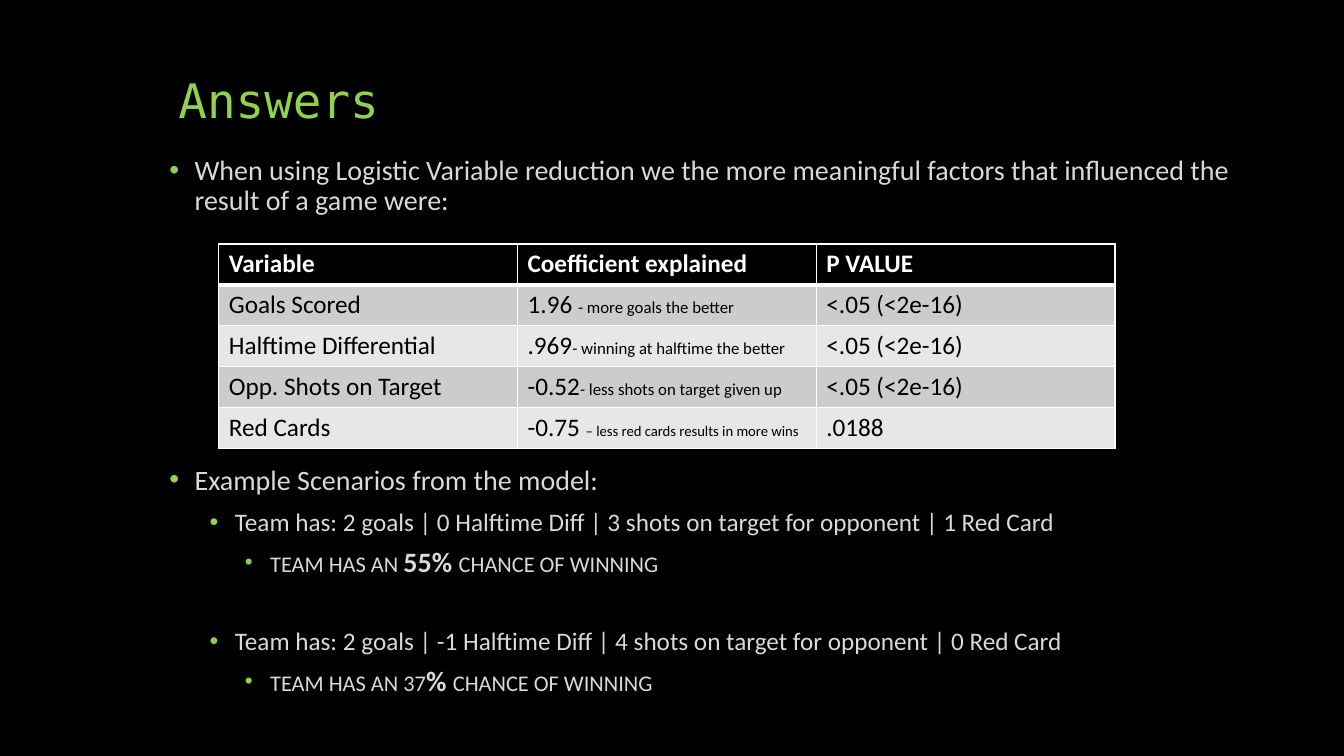
from lxml import etree
from pptx import Presentation
from pptx.dml.color import RGBColor
from pptx.enum import text
from pptx.oxml import ns
from pptx.util import Inches, Pt

COLORS = {"background": "000000", "accent": "92D050", "body": "D9D9D9",
          "white": "FFFFFF", "black": "000000",
          "odd_row": "CCCCCC", "even_row": "E7E7E7"}
BODY_FONT, TITLE_FONT = "Calibri", "DejaVu Sans Mono"

# Indent (in), text size (pt) and space before (pt) of each outline level
LEVELS = [
    {"indent": 0.25, "size": 20, "before": 18},
    {"indent": 0.65, "size": 18, "before": 10},
    {"indent": 1.0, "size": 16, "before": 8},
]
TABLE_GAP, SCENARIO_GAP = 178, 35.6  # space before in points

# Level, space before (None takes the level's own), runs of (text, size, bold)
OUTLINE = [
    (0, None, [("When using Logistic Variable reduction we the more meaningful "
                "factors that influenced the result of a game were:", 20, False)]),
    (0, TABLE_GAP, [("Example Scenarios from the model:", 20, False)]),
    (1, None, [("Team has: 2 goals | 0 Halftime Diff | 3 shots on target for "
                "opponent | 1 Red Card", 18, False)]),
    (2, None, [("TEAM HAS AN ", 16, False), ("55% ", 20, True),
               ("CHANCE OF WINNING", 16, False)]),
    (1, SCENARIO_GAP, [("Team has: 2 goals | -1 Halftime Diff | 4 shots on target "
                        "for opponent | 0 Red Card", 18, False)]),
    (2, None, [("TEAM HAS AN 37", 16, False), ("% ", 20, True),
               ("CHANCE OF WINNING", 16, False)]),
]

HEADINGS = ["Variable", "Coefficient explained", "P VALUE"]
# Variable, coefficient, explanation, explanation size, p value
FACTORS = [
    ("Goals Scored", "1.96 ", "- more goals the better", 12, "<.05 (<2e-16)"),
    ("Halftime Differential", ".969", "- winning at halftime the better", 12,
     "<.05 (<2e-16)"),
    ("Opp. Shots on Target", "-0.52", "- less shots on target given up", 12,
     "<.05 (<2e-16)"),
    ("Red Cards", "-0.75 ", "– less red cards results in more wins", 10.5, ".0188"),
]


def rgb(name):
    return RGBColor.from_string(COLORS[name])


def add_run(paragraph, words, size, color, bold=False, font=BODY_FONT):
    run = paragraph.add_run()
    run.text = words
    for attribute, value in {"size": Pt(size), "bold": bold, "name": font}.items():
        setattr(run.font, attribute, value)
    run.font.color.rgb = rgb(color)


def place(shape, box):
    for attribute, value in zip(("left", "top", "width", "height"), box):
        setattr(shape, attribute, Inches(value))


def add_bullet(paragraph, indent):
    properties = paragraph._p.get_or_add_pPr()
    properties.set("marL", str(Inches(indent)))
    properties.set("indent", str(Inches(-0.25)))
    color = etree.SubElement(properties, ns.qn("a:buClr"))
    etree.SubElement(color, ns.qn("a:srgbClr"), val=COLORS["accent"])
    etree.SubElement(properties, ns.qn("a:buFont"), typeface="Arial")
    etree.SubElement(properties, ns.qn("a:buChar"), char="•")


def add_borders(cell, bottom):
    properties = cell._tc.get_or_add_tcPr()
    for side, width in {"L": 1, "R": 1, "T": 1, "B": bottom}.items():
        line = etree.SubElement(properties, ns.qn(f"a:ln{side}"), w=str(Pt(width)))
        fill = etree.SubElement(line, ns.qn("a:solidFill"))
        etree.SubElement(fill, ns.qn("a:srgbClr"), val=COLORS["white"])


def fill_title(title, box):
    place(title, box)
    frame = title.text_frame
    frame.vertical_anchor = text.MSO_ANCHOR.BOTTOM
    frame.auto_size = text.MSO_AUTO_SIZE.NONE
    heading = frame.paragraphs[0]
    heading.alignment = text.PP_ALIGN.LEFT
    heading.line_spacing = 0.9
    add_run(heading, "Answers", 34, "accent", font=TITLE_FONT)


def fill_outline(body, box):
    place(body, box)
    frame = body.text_frame
    frame.auto_size = text.MSO_AUTO_SIZE.NONE
    for index, (level, gap, runs) in enumerate(OUTLINE):
        point = frame.add_paragraph() if index else frame.paragraphs[0]
        style = LEVELS[level]
        formats = {"level": level, "line_spacing": 0.9, "space_after": Pt(0),
                   "space_before": Pt(gap or style["before"])}
        for attribute, value in formats.items():
            setattr(point, attribute, value)
        point.font.size = Pt(style["size"])
        add_bullet(point, style["indent"])
        for words, size, bold in runs:
            add_run(point, words, size, "body", bold)


def add_factor_table(slide, box):
    rows = [[[(heading, 18)] for heading in HEADINGS]]
    rows += [[[(variable, 18)], [(coefficient, 18), (note, note_size)], [(p_value, 18)]]
             for variable, coefficient, note, note_size, p_value in FACTORS]
    factors = slide.shapes.add_table(len(rows), len(HEADINGS),
                                     *(Inches(length) for length in box)).table
    for r, row in enumerate(rows):
        header = r == 0
        fill = "black" if header else ("odd_row" if r % 2 else "even_row")
        for c, runs in enumerate(row):
            cell = factors.cell(r, c)
            add_borders(cell, bottom=3 if header else 1)
            cell.fill.solid()
            cell.fill.fore_color.rgb = rgb(fill)
            for words, size in runs:
                add_run(cell.text_frame.paragraphs[0], words, size,
                        "white" if header else "black", header)


def main():
    deck = Presentation()
    deck.slide_width, deck.slide_height = Inches(13.33), Inches(7.5)
    slide = deck.slides.add_slide(deck.slide_layouts[1])
    slide.background.fill.solid()
    slide.background.fill.fore_color.rgb = rgb("background")

    # Title, outline, then the table in the outline's gap
    fill_title(slide.shapes.title, (1.67, 0.08, 10, 1.25))
    fill_outline(slide.placeholders[1], (1.58, 1.5, 10.75, 5.67))
    add_factor_table(slide, (2.17, 2.42, 8.89, 2.03))
    deck.save("out.pptx")


if __name__ == "__main__":
    main()
